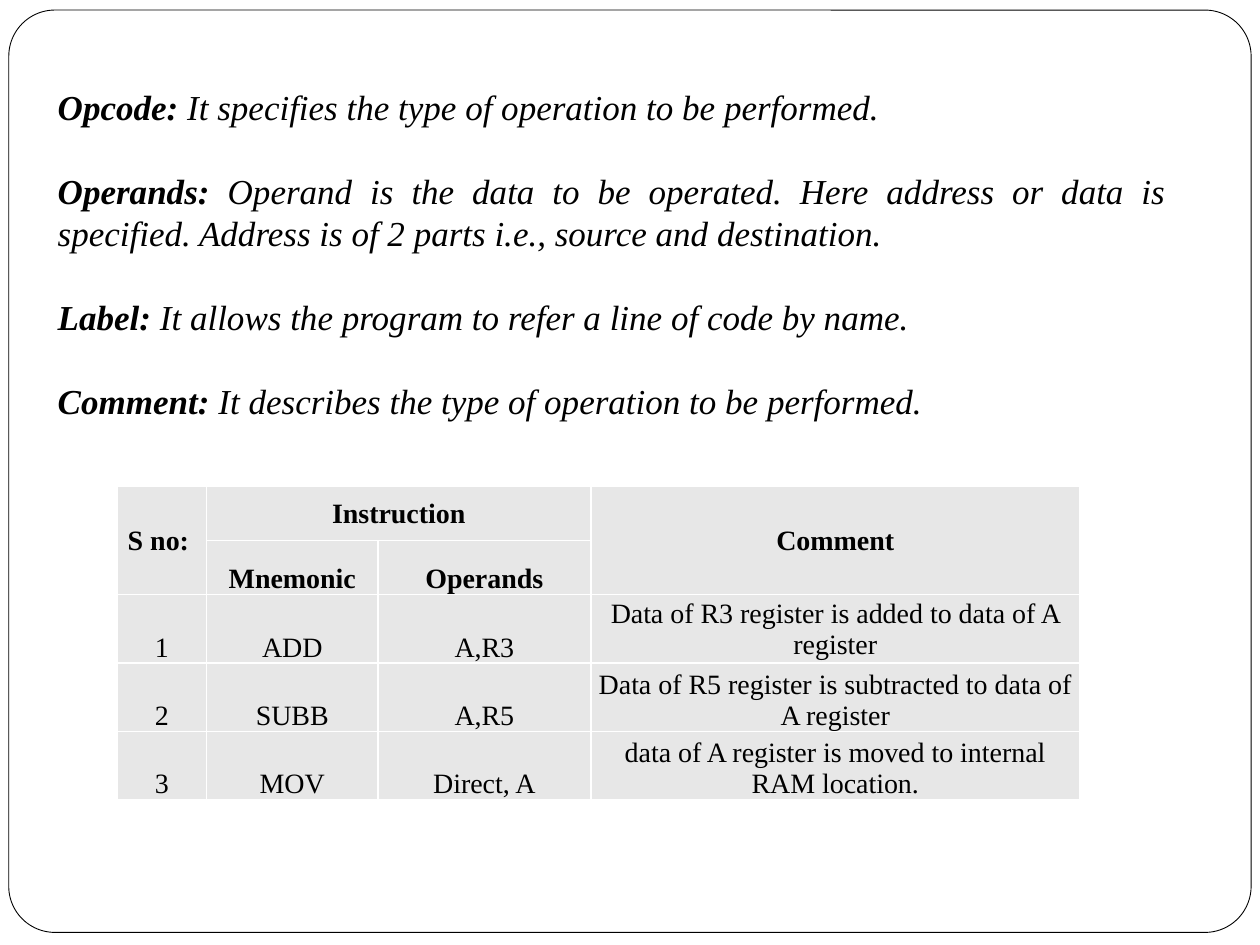
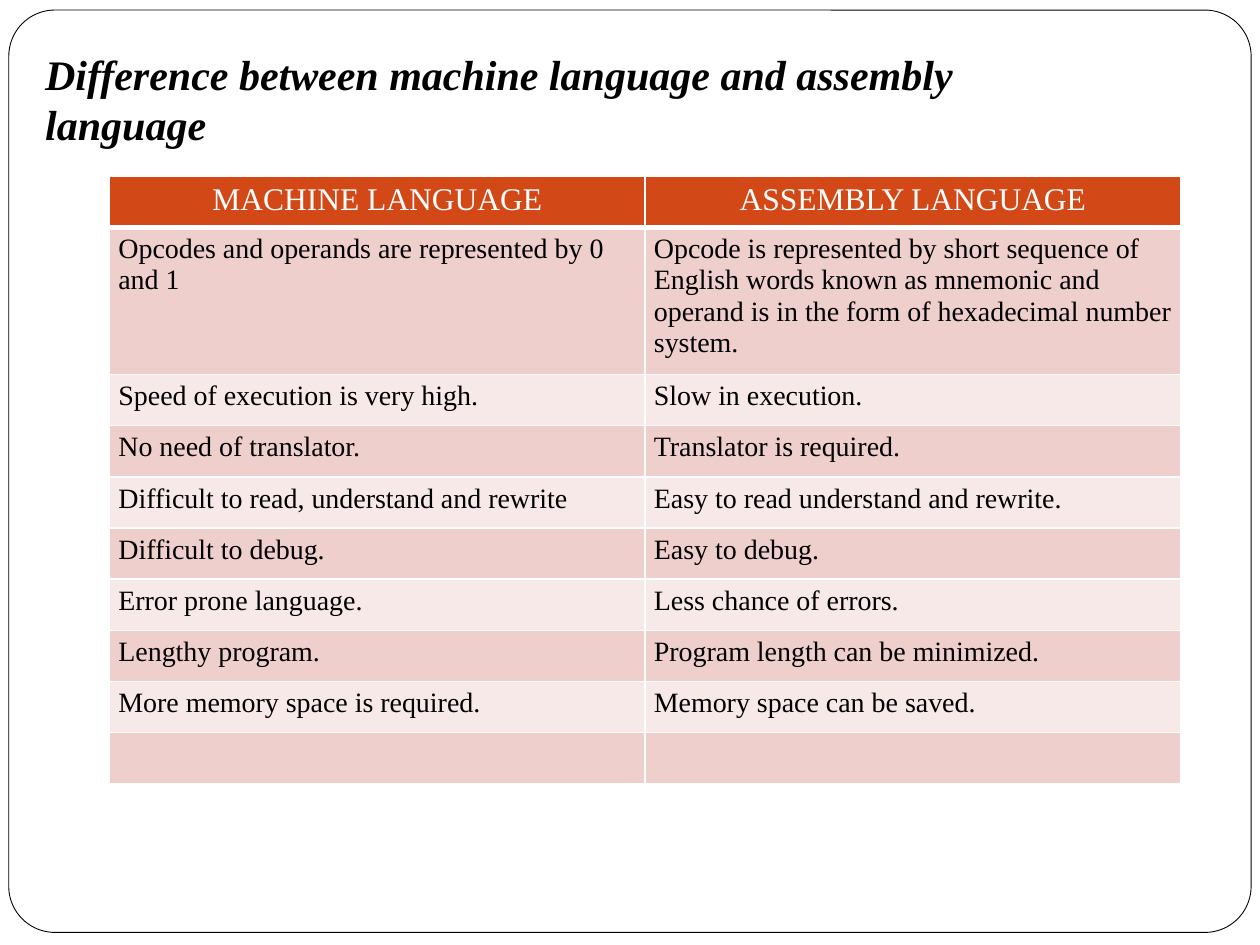
from dataclasses import dataclass

from lxml.etree import SubElement
from pptx import Presentation
from pptx.dml.color import RGBColor
from pptx.enum.shapes import MSO_SHAPE
from pptx.enum.text import MSO_ANCHOR, PP_ALIGN
from pptx.oxml.ns import qn
from pptx.util import Inches, Pt


@dataclass(frozen=True)
class Theme:
    """Colours, font and type sizes shared by the slides."""

    font: str = "Times New Roman"
    black: str = "000000"
    white: str = "FFFFFF"
    grey: str = "E7E7E7"
    orange: str = "D34817"
    bands: tuple = ("EFCFCC", "F7E9E8")
    title_size: int = 24
    body_size: int = 20
    header_size: int = 18
    cell_size: int = 16


THEME = Theme()

DEFINITIONS = [
    ("Opcode:", " It specifies the type of operation to be performed."),
    ("Operands:", " Operand is the data to be operated. Here address or data is "
                  "specified. Address is of 2 parts i.e., source and destination."),
    ("Label:", " It allows the program to refer a line of code by name."),
    ("Comment:", " It describes the type of operation to be performed."),
]

INSTRUCTIONS = [
    ("S no: ", "Instruction", "", "Comment"),
    ("", "Mnemonic", "Operands", ""),
    ("1", "ADD", "A,R3", "Data of R3 register is added to data of A register"),
    ("2", "SUBB", "A,R5", "Data of R5 register is subtracted to data of A register"),
    ("3", "MOV", "Direct, A", "data of A register is moved to internal RAM location."),
]

DIFFERENCES = [
    ("MACHINE LANGUAGE", "ASSEMBLY LANGUAGE"),
    ("Opcodes and operands are represented by 0 and 1",
     "Opcode is represented by short sequence of English words known as mnemonic "
     "and operand is in the form of hexadecimal number system."),
    ("Speed of execution is very high.", "Slow in execution."),
    ("No need of translator.", "Translator is required."),
    ("Difficult to read, understand and rewrite", "Easy to read understand and rewrite."),
    ("Difficult to debug.", "Easy to debug."),
    ("Error prone language.", "Less chance of errors."),
    ("Lengthy program.", "Program length can be minimized."),
    ("More memory space is required.", "Memory space can be saved."),
    ("", ""),
]


def color(value):
    """Turn a hexadecimal string into a colour."""
    return RGBColor.from_string(value)


def add_text(paragraph, text, size, ink=THEME.black, bold=False, italic=False,
             align=PP_ALIGN.LEFT):
    """Append one formatted run to a paragraph."""
    paragraph.alignment = align
    run = paragraph.add_run()
    run.text = text
    run.font.name = THEME.font
    run.font.size = Pt(size)
    run.font.bold = bold
    run.font.italic = italic
    run.font.color.rgb = color(ink)


def add_text_frame(slide, box):
    """Add a wrapping text box and return its text frame."""
    text_frame = slide.shapes.add_textbox(*map(Inches, box)).text_frame
    text_frame.word_wrap = True
    return text_frame


def add_framed_slide(presentation):
    """Add a blank slide with the rounded outline."""
    slide = presentation.slides.add_slide(presentation.slide_layouts[6])
    frame = slide.shapes.add_shape(
        MSO_SHAPE.ROUNDED_RECTANGLE, *map(Inches, (0.07, 0.08, 9.86, 7.32)))
    frame.adjustments[0] = 0.05
    frame.shadow.inherit = False
    frame.fill.solid()
    frame.fill.fore_color.rgb = color(THEME.white)
    frame.line.color.rgb = color(THEME.black)
    frame.line.width = Pt(0.5)
    return slide


def add_plain_table(slide, box, rows, columns):
    """Add a table without style flags."""
    table = slide.shapes.add_table(rows, columns, *map(Inches, box)).table
    table.first_row = False
    table.horz_banding = False
    return table


def style_cell(cell, fill, margins, anchor=MSO_ANCHOR.TOP, bottom_width=1):
    """Set the borders, fill, margins and anchor of a cell."""
    properties = cell._tc.get_or_add_tcPr()
    for side, width in (("L", 1), ("R", 1), ("T", 1), ("B", bottom_width)):
        line = SubElement(properties, qn(f"a:ln{side}"), w=str(Pt(width)))
        solid = SubElement(line, qn("a:solidFill"))
        SubElement(solid, qn("a:srgbClr"), val=THEME.white)
    cell.fill.solid()
    cell.fill.fore_color.rgb = color(fill)
    cell.margin_left, cell.margin_top, cell.margin_right, cell.margin_bottom = map(
        Inches, margins)
    cell.vertical_anchor = anchor


def add_definitions(slide, box):
    """Write each term in bold, followed by its definition."""
    text_frame = add_text_frame(slide, box)
    for index, (term, definition) in enumerate(DEFINITIONS):
        paragraph = text_frame.add_paragraph() if index else text_frame.paragraphs[0]
        paragraph.line_spacing = Pt(24)
        paragraph.space_after = Pt(24)
        for text, bold in ((term, True), (definition, False)):
            add_text(paragraph, text, THEME.body_size, bold=bold, italic=True,
                     align=PP_ALIGN.JUSTIFY)


def add_instruction_table(slide, box):
    """Add the instruction table with its two header rows."""
    table = add_plain_table(slide, box, len(INSTRUCTIONS), 4)
    for column, width in zip(table.columns, (0.71, 1.36, 1.69, 3.88)):
        column.width = Inches(width)
    for row_index, values in enumerate(INSTRUCTIONS):
        is_header = row_index < 2
        table.rows[row_index].height = Inches(0.43 if is_header else 0.54)
        for column_index, value in enumerate(values):
            cell = table.cell(row_index, column_index)
            is_middle = row_index == 0 or (row_index, column_index) == (2, 3)
            style_cell(cell, THEME.grey, (0.01, 0.01, 0.01, 0),
                       MSO_ANCHOR.MIDDLE if is_middle else MSO_ANCHOR.BOTTOM)
            if value:
                add_text(cell.text_frame.paragraphs[0], value, THEME.cell_size,
                         bold=is_header, align=PP_ALIGN.CENTER)
    for first, last in (((0, 0), (1, 0)), ((0, 1), (0, 2)), ((0, 3), (1, 3))):
        table.cell(*first).merge(table.cell(*last))


def add_difference_table(slide, box):
    """Add the banded comparison of the two languages."""
    table = add_plain_table(slide, box, len(DIFFERENCES), 2)
    for row_index, values in enumerate(DIFFERENCES):
        is_header = row_index == 0
        fill = THEME.orange if is_header else THEME.bands[(row_index - 1) % 2]
        for column_index, value in enumerate(values):
            cell = table.cell(row_index, column_index)
            style_cell(cell, fill, (0.07, 0.05, 0.07, 0.05),
                       bottom_width=3 if is_header else 1)
            if value:
                add_text(cell.text_frame.paragraphs[0], value,
                         THEME.header_size if is_header else THEME.cell_size,
                         ink=THEME.white if is_header else THEME.black,
                         align=PP_ALIGN.CENTER if is_header else PP_ALIGN.LEFT)


def add_title(slide, box, text):
    """Add the bold italic slide title."""
    paragraph = add_text_frame(slide, box).paragraphs[0]
    paragraph.line_spacing = Pt(28.5)
    add_text(paragraph, text, THEME.title_size, bold=True, italic=True)


def main():
    """Build both slides and save them."""
    presentation = Presentation()
    presentation.slide_width = Inches(10)
    presentation.slide_height = Inches(7.5)

    slide = add_framed_slide(presentation)
    add_definitions(slide, (0.36, 0.63, 8.99, 3.8))
    add_instruction_table(slide, (0.93, 3.86, 7.64, 2.48))

    slide = add_framed_slide(presentation)
    add_difference_table(slide, (0.87, 1.4, 8.5, 4.06))
    add_title(slide, (0.26, 0.34, 7.42, 0.91),
              "Difference between machine language and assembly language")

    presentation.save("out.pptx")


if __name__ == "__main__":
    main()
